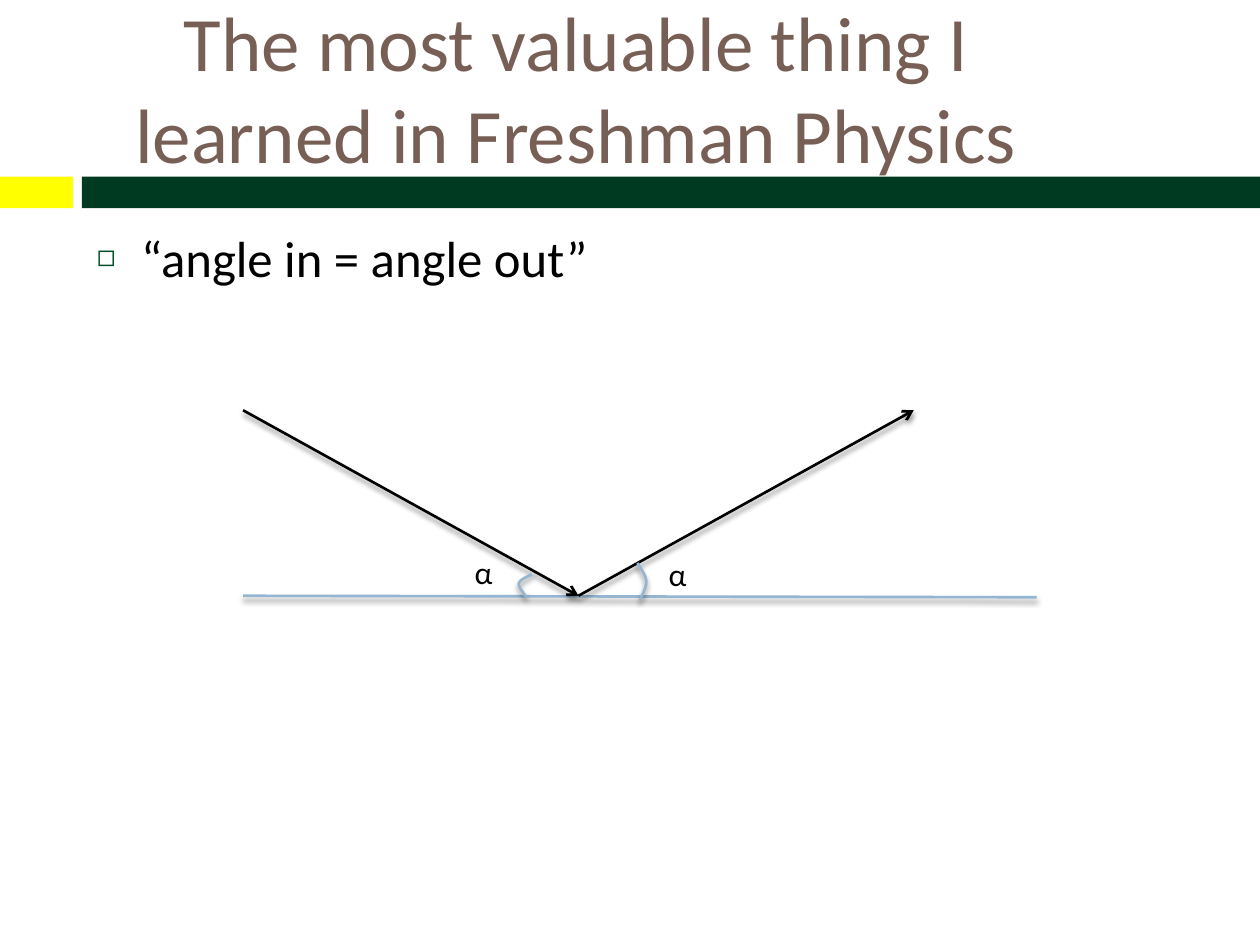
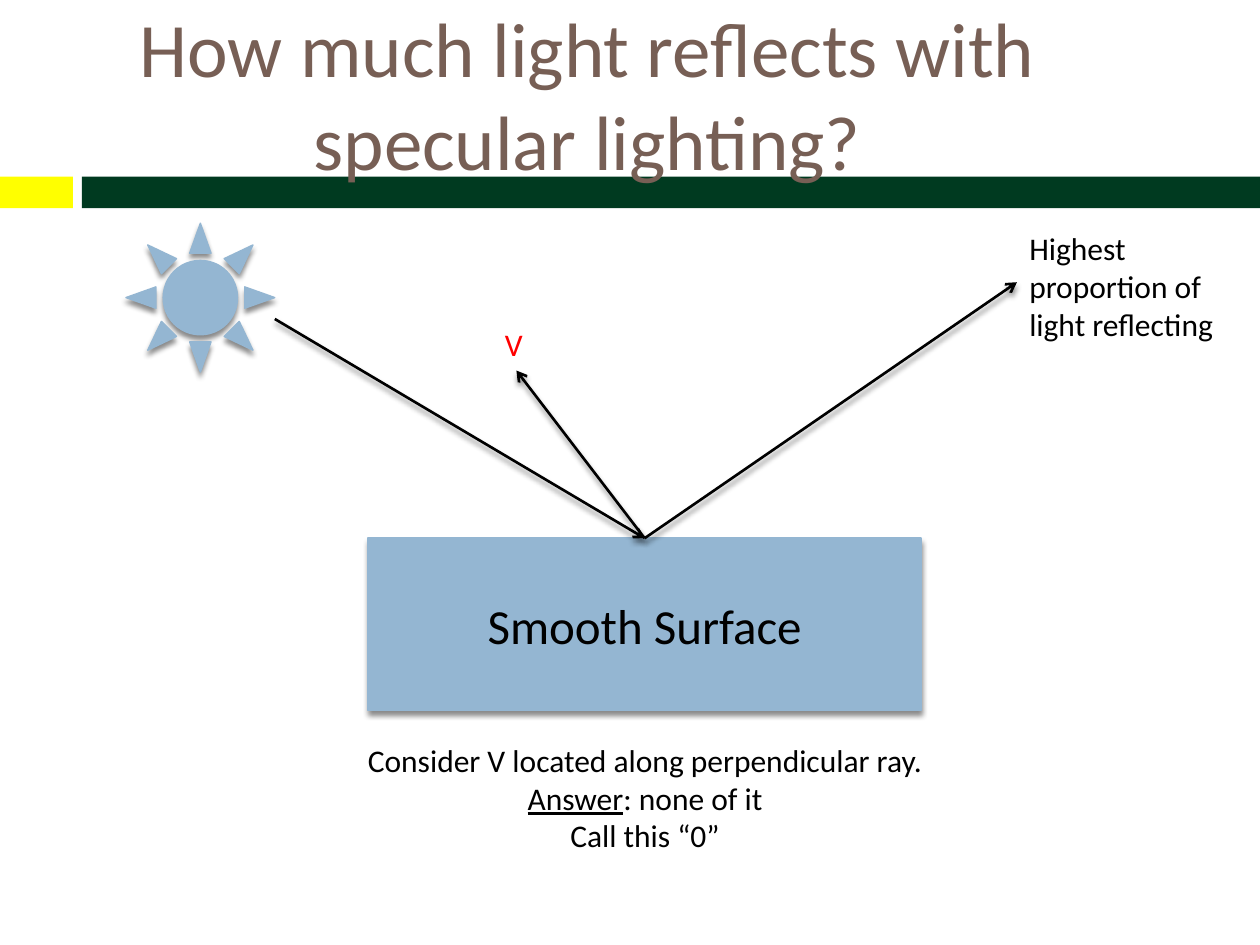
from lxml import etree
from pptx import Presentation
from pptx.dml.color import RGBColor
from pptx.enum.shapes import MSO_CONNECTOR, MSO_SHAPE
from pptx.enum.text import MSO_ANCHOR, MSO_AUTO_SIZE, PP_ALIGN
from pptx.oxml.ns import qn
from pptx.util import Cm, Pt

STRAIGHT = MSO_CONNECTOR.STRAIGHT
RECTANGLE, SUN = MSO_SHAPE.RECTANGLE, MSO_SHAPE.SUN
LEFT, CENTER = PP_ALIGN.LEFT, PP_ALIGN.CENTER
MIDDLE = MSO_ANCHOR.MIDDLE
NO_FIT, GROW = MSO_AUTO_SIZE.NONE, MSO_AUTO_SIZE.SHAPE_TO_FIT_TEXT

YELLOW = RGBColor(0xFF, 0xFF, 0x00)
DARK_GREEN = RGBColor(0x00, 0x3A, 0x20)
BULLET_GREEN = RGBColor(0x00, 0x51, 0x28)
BROWN = RGBColor(0x77, 0x5F, 0x55)
SKY = RGBColor(0x94, 0xB6, 0xD2)
RED = RGBColor(0xFF, 0x00, 0x00)
BLACK = RGBColor(0x00, 0x00, 0x00)

FONT = "Calibri"
TITLE_AND_BODY, TITLE_ONLY = 1, 5
TOP_SIDE = 0
ARC_STEPS = 16


def place(shape, left, top, width, height):
    shape.left, shape.top = Cm(left), Cm(top)
    shape.width, shape.height = Cm(width), Cm(height)


def style_text(frame, size, color=BLACK, align=LEFT):
    for paragraph in frame.paragraphs:
        paragraph.alignment = align
        for run in paragraph.runs:
            run.font.name = FONT
            run.font.size = Pt(size)
            run.font.color.rgb = color


def add_shadow(shape):
    """Drop a soft shadow straight down; call after the line is set."""
    effects = etree.SubElement(shape.element.spPr, qn("a:effectLst"))
    shadow = etree.SubElement(effects, qn("a:outerShdw"), blurRad="38100",
                              dist="30000", dir="5400000", rotWithShape="0")
    color = etree.SubElement(shadow, qn("a:srgbClr"), val=str(BLACK))
    etree.SubElement(color, qn("a:alpha"), val="45000")


def add_line(slide, start, end, color=BLACK, arrow=True):
    line = slide.shapes.add_connector(STRAIGHT, *map(Cm, start + end))
    line.line.color.rgb = color
    line.line.width = Pt(1.5)
    if arrow:
        outline = line.element.spPr.find(qn("a:ln"))
        etree.SubElement(outline, qn("a:tailEnd"), type="arrow")
    add_shadow(line)
    return line


def add_solid(slide, preset, box):
    solid = slide.shapes.add_shape(preset, *map(Cm, box))
    solid.fill.solid()
    solid.fill.fore_color.rgb = SKY
    solid.line.color.rgb = SKY
    solid.line.width = Pt(0.79)
    add_shadow(solid)
    return solid


def add_label(slide, text, box, color=BLACK, align=LEFT, wrap=True):
    label = slide.shapes.add_textbox(*map(Cm, box))
    frame = label.text_frame
    frame.word_wrap = wrap
    frame.auto_size = GROW
    frame.text = text
    style_text(frame, 18, color, align)
    return label


def cubic(t, controls):
    """Point at t on the Bezier curve with four control points."""
    weights = ((1 - t) ** 3, 3 * t * (1 - t) ** 2, 3 * t * t * (1 - t), t ** 3)
    return tuple(sum(w * c for w, c in zip(weights, axis))
                 for axis in zip(*controls))


def add_angle_arc(slide, origin, curves):
    """Draw joined Bezier curves whose controls are relative to origin."""
    points = [curves[0][0]]
    for controls in curves:
        points += [cubic(i / ARC_STEPS, controls)
                   for i in range(1, ARC_STEPS + 1)]
    points = [(Cm(origin[0] + x), Cm(origin[1] + y)) for x, y in points]
    builder = slide.shapes.build_freeform(*points[0])
    builder.add_line_segments(points[1:], close=False)
    arc = builder.convert_to_shape()
    arc.fill.background()
    arc.line.color.rgb = SKY
    arc.line.width = Pt(1.5)
    add_shadow(arc)


def add_bands(prs, slide):
    """Make the header bands on a slide and move them to the master."""
    master_tree = prs.slide_master.shapes.element
    bands = ((0, 1.47, YELLOW), (1.65, 23.75, DARK_GREEN))
    for number, (left, width, color) in enumerate(bands):
        band = slide.shapes.add_shape(
            RECTANGLE, Cm(left), Cm(3.56), Cm(width), Cm(0.64))
        band.shadow.inherit = False
        band.fill.solid()
        band.fill.fore_color.rgb = color
        band.line.fill.background()
        band.element.nvSpPr.cNvPr.set("id", str(100 + number))
        master_tree.insert(2 + number, band.element)


def set_title(slide, text, top, width):
    title = slide.shapes.title
    place(title, 1.7, top, width, 2.74)
    frame = title.text_frame
    frame.text = text
    frame.auto_size = NO_FIT
    frame.vertical_anchor = MIDDLE
    style_text(frame, 44, BROWN, CENTER)


def set_statement(slide, text):
    body = slide.placeholders[1]
    place(body, 1.7, 4.45, 22.66, 12.5)
    frame = body.text_frame
    frame.text = text
    frame.auto_size = NO_FIT
    paragraph = frame.paragraphs[0]
    paragraph.space_before = Pt(0)
    properties = paragraph.element.get_or_add_pPr() if hasattr(
        paragraph, "element") else paragraph._p.get_or_add_pPr()
    properties.set("marL", str(Cm(0.89)))
    properties.set("indent", str(-Cm(0.89)))
    bullet_color = etree.SubElement(properties, qn("a:buClr"))
    etree.SubElement(bullet_color, qn("a:srgbClr"), val=str(BULLET_GREEN))
    etree.SubElement(properties, qn("a:buSzPct"), val="60000")
    etree.SubElement(properties, qn("a:buFont"), typeface=FONT)
    etree.SubElement(properties, qn("a:buChar"), char="◻")
    style_text(frame, 29)


def draw_equal_angles(slide, left, top, width, height):
    """Draw a ray bouncing off a mirror line at the foot of the box."""
    reach = 6.76
    hit_x, hit_y = hit = (left + reach, top + height)
    add_line(slide, (left, hit_y), (left + width, hit_y + 0.03), SKY, False)
    add_line(slide, (left, top), hit)
    add_label(slide, "α", (hit_x - 2.34, hit_y - 0.99, 0.89, 1.02), wrap=False)
    add_angle_arc(slide, hit, [
        ((-0.94, -0.43), (-1.04, -0.38), (-1.17, -0.33), (-1.2, -0.25)),
        ((-1.2, -0.25), (-1.22, -0.17), (-1.04, 0.03), (-1.04, 0.03))])
    add_line(slide, hit, (hit_x + reach, top))
    add_label(slide, "α", (hit_x + 1.57, hit_y - 0.94, 0.89, 1.02), wrap=False)
    add_angle_arc(slide, hit, [
        ((1.19, -0.66), (1.27, -0.53), (1.37, -0.4), (1.37, -0.28)),
        ((1.37, -0.28), (1.37, -0.15), (1.24, 0.08), (1.24, 0.08))])


def draw_specular_scene(slide, left, top, width, height):
    """Draw sun, surface and rays; the surface stands on the box's foot."""
    surface_width, surface_height = 11.15, 3.48
    surface_left = left + 4.88
    surface_top = top + height - surface_height
    hit = (surface_left + surface_width / 2, surface_top)
    surface = add_solid(slide, RECTANGLE, (surface_left, surface_top,
                                           surface_width, surface_height))
    surface.text_frame.text = "Smooth Surface"
    surface.text_frame.vertical_anchor = MIDDLE
    style_text(surface.text_frame, 28, align=CENTER)
    add_solid(slide, SUN, (left, top, 3, 3))

    incoming = add_line(slide, (left + 3, top + 1.93), hit)
    incoming.end_connect(surface, TOP_SIDE)
    note_left = left + width - 4.34
    mirrored = add_line(slide, hit, (note_left, top + 1.19))
    mirrored.begin_connect(surface, TOP_SIDE)
    add_label(slide, "Highest proportion of light reflecting",
              (note_left, top, 4.34, 3.33))
    add_label(slide, "V", (left + 7.39, top + 1.93, 0.97, 1.02), RED,
              wrap=False)
    viewer = add_line(slide, hit, (left + 7.87, top + 2.97))
    viewer.begin_connect(surface, TOP_SIDE)


def add_answer(slide, left, top, width, height):
    question = "Consider V located along perpendicular ray."
    answer = add_label(slide, question, (left, top, width, height))
    frame = answer.text_frame
    reply = frame.add_paragraph()
    for text, underlined in (("Answer", True), (": none of it", False)):
        run = reply.add_run()
        run.text = text
        run.font.underline = underlined
    frame.add_paragraph().text = "Call this “0”"
    style_text(frame, 18, align=CENTER)


def build_physics_slide(prs):
    slide = prs.slides.add_slide(prs.slide_layouts[TITLE_AND_BODY])
    add_bands(prs, slide)
    set_title(slide, "The most valuable thing I learned in Freshman Physics",
              0.38, 19.84)
    set_statement(slide, "“angle in = angle out”")
    draw_equal_angles(slide, 4.9, 8.27, 16, 3.74)


def build_specular_slide(prs):
    slide = prs.slides.add_slide(prs.slide_layouts[TITLE_ONLY])
    set_title(slide, "How much light reflects with specular lighting?",
              0.51, 20.29)
    draw_specular_scene(slide, 2.54, 4.5, 22.3, 9.83)
    add_answer(slide, 3.25, 14.81, 19.51, 2.57)


def main():
    prs = Presentation()
    prs.slide_width, prs.slide_height = Cm(25.4), Cm(19.05)
    build_physics_slide(prs)
    build_specular_slide(prs)
    prs.save("out.pptx")


if __name__ == "__main__":
    main()
